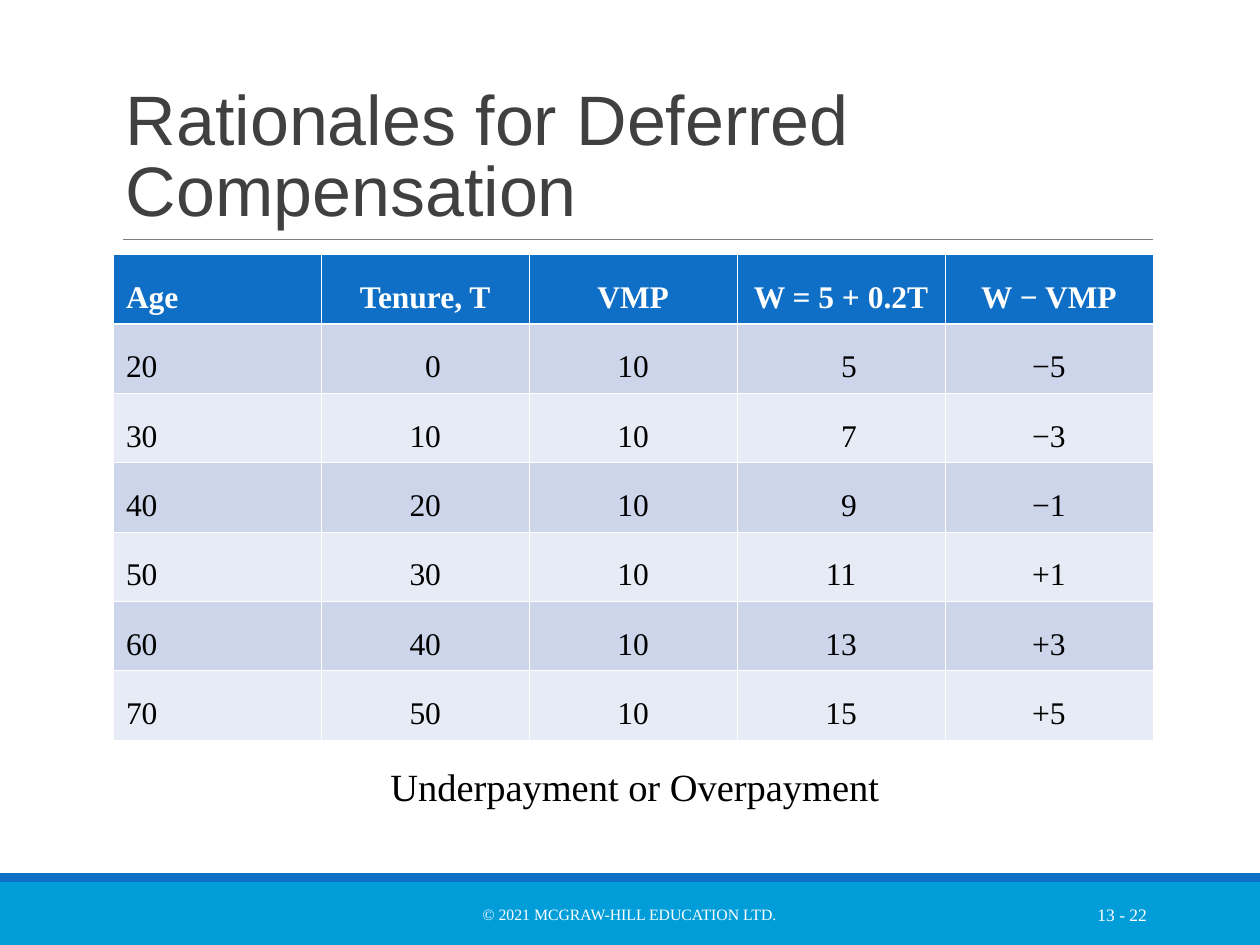
import pptx
import pptx.util
import pptx.dml.color
import pptx.enum.text
import pptx.enum.shapes
import pptx.oxml.ns
import lxml.etree

Pt = pptx.util.Pt
Hex = pptx.dml.color.RGBColor.from_string
Align = pptx.enum.text.PP_ALIGN
Anchor = pptx.enum.text.MSO_ANCHOR
qn = pptx.oxml.ns.qn

ink = {"blue": "0F6FC6", "sky": "009DD9", "rule": "7F7F7F", "title": "404040",
       "text": "000000", "white": "FFFFFF", "dark": "CCD5EA", "light": "E7EBF5"}
serif = "Times New Roman"

deck = pptx.Presentation()
deck.slide_width = pptx.util.Inches(10)
deck.slide_height = pptx.util.Inches(7.5)
slide = deck.slides.add_slide(deck.slide_layouts[6])
shapes = slide.shapes

# The slide is a grid of 100 columns by 75 rows
unit = deck.slide_width / 100
left, wide = 9, 82.5


def grid(*spans):
    return [round(span * unit) for span in spans]


def write(frame, text, size, color, align=Align.LEFT, face=serif, bold=False, lead=None):
    frame.text = text
    par = frame.paragraphs[0]
    par.alignment = align
    if lead:
        par.line_spacing = lead
    font = par.runs[0].font
    font.name, font.size, font.bold = face, Pt(size), bold
    font.color.rgb = Hex(ink[color])


# Footer bands
for top, high, color in [(70, 5, "sky"), (69.3, 0.7, "blue")]:
    band = shapes.add_shape(pptx.enum.shapes.MSO_SHAPE.RECTANGLE, *grid(0, top, 100, high))
    band.shadow.inherit = False
    band.fill.solid()
    band.fill.fore_color.rgb = Hex(ink[color])
    band.line.fill.background()

# Rule under the title
rule = shapes.add_connector(pptx.enum.shapes.MSO_CONNECTOR.STRAIGHT, *grid(9.8, 19, 91.5, 19))
rule.line.color.rgb = Hex(ink["rule"])
rule.line.width = Pt(0.5)
lxml.etree.SubElement(rule.line._get_or_add_ln().getparent(), qn("a:effectLst"))

# Footer, page number, title and caption
texts = [
    ((30.2, 70.6, 39.5, 4), Anchor.MIDDLE,
     ("© 2021 MCGRAW-HILL EDUCATION LTD.", 9, "white", Align.CENTER)),
    ((81.2, 70.6, 10.8, 4), Anchor.MIDDLE, ("13 - 22", 10, "white", Align.RIGHT)),
    ((left, 2.9, wide, 15.9), Anchor.BOTTOM,
     ("Rationales for Deferred Compensation", 40, "title", Align.LEFT, "Arial", False, 0.85)),
    ((30, 60.1, 41.7, 4.7), Anchor.TOP, ("Underpayment or Overpayment", 22, "text")),
]
for place, anchor, words in texts:
    frame = shapes.add_textbox(*grid(*place)).text_frame
    frame.word_wrap = True
    frame.vertical_anchor = anchor
    write(frame, *words)

# Pay table: wage is 5 + 0.2T, set against a constant VMP
rows = [["Age", "Tenure, T", "VMP", "W = 5 + 0.2T", "W − VMP"]]
for age in range(20, 80, 10):
    tenure, vmp = age - 20, 10
    wage = 5 + tenure // 5
    gap = f"{wage - vmp:+d}".replace("-", "−")
    rows.append([str(age), str(tenure), str(vmp), str(wage), gap])

table = shapes.add_table(len(rows), len(rows[0]), *grid(left, 20.2, wide, 34.7)).table
for r, row in enumerate(rows):
    head = r == 0
    for c, text in enumerate(row):
        cell = table.cell(r, c)
        cell.vertical_anchor = Anchor.MIDDLE
        cell.fill.solid()
        cell.fill.fore_color.rgb = Hex(ink["blue" if head else "dark" if r % 2 else "light"])
        write(cell.text_frame, text, 18, "white" if head else "text",
              Align.CENTER if c else Align.LEFT, bold=head, lead=1.5)
        # One digit of extra margin lines single digits up with the ones below
        if len(text) == 1:
            cell.margin_left = pptx.util.Inches(0.1) + Pt(9)
        # White borders, thicker under the header
        props = cell._tc.get_or_add_tcPr()
        for i, side in enumerate("LRTB"):
            thick = (r, side) in [(0, "B"), (1, "T")]
            edge = lxml.etree.Element(qn(f"a:ln{side}"), w=str(Pt(1.47 if thick else 0.45)))
            fill = lxml.etree.SubElement(edge, qn("a:solidFill"))
            lxml.etree.SubElement(fill, qn("a:srgbClr"), val=ink["white"])
            props.insert(i, edge)

deck.save("out.pptx")
